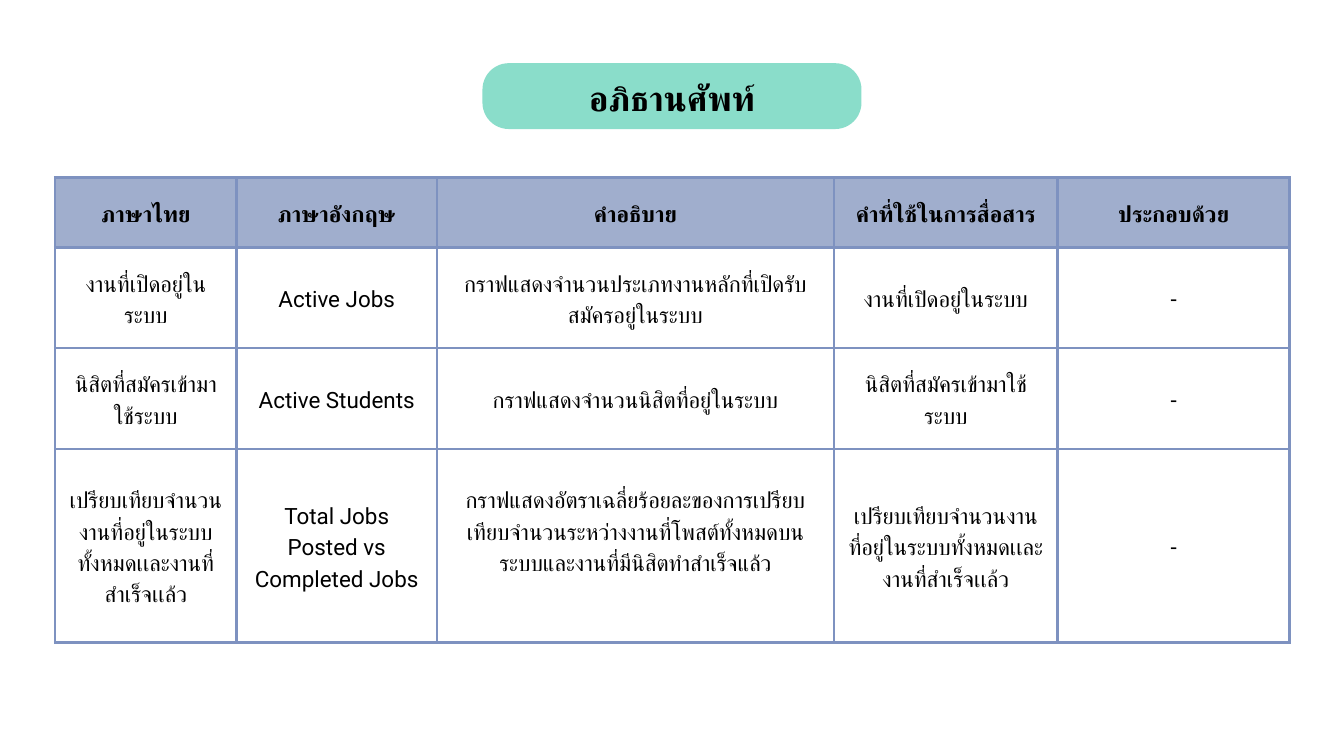
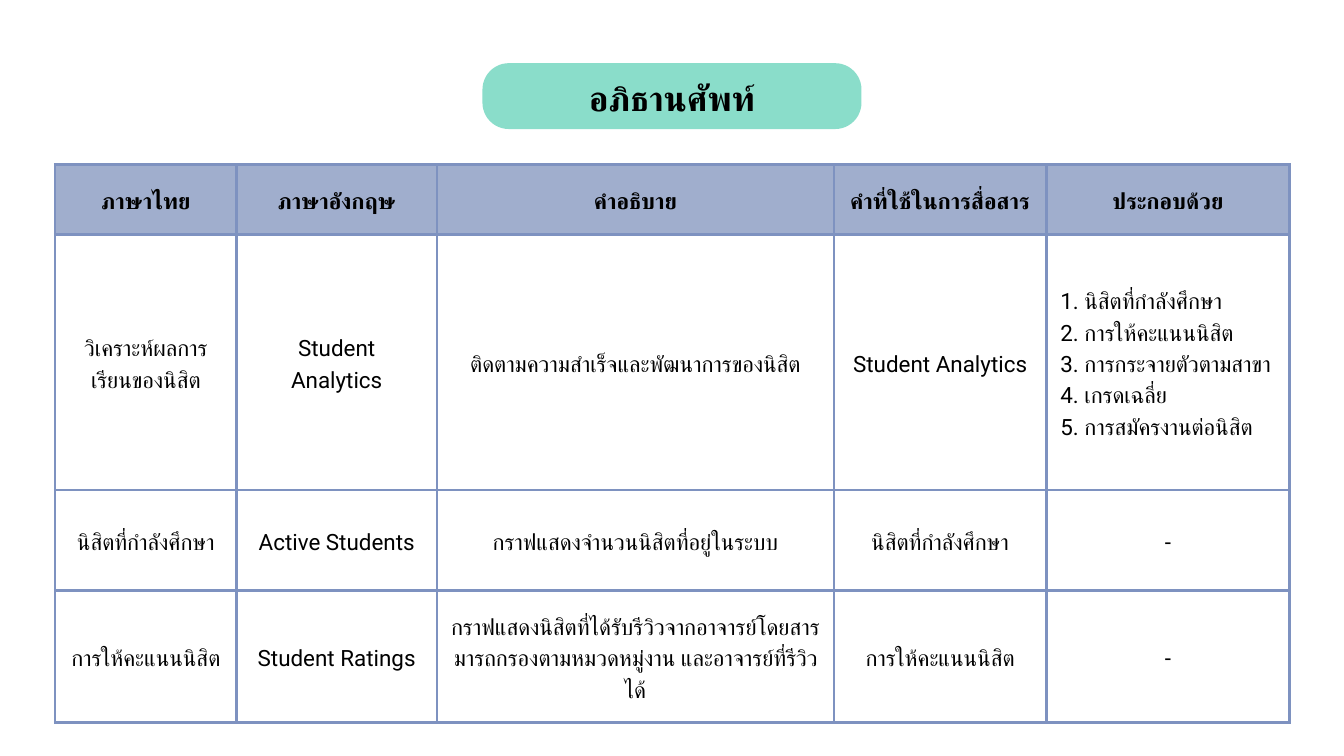
from dataclasses import dataclass

from lxml import etree
from pptx import Presentation
from pptx.dml.color import RGBColor
from pptx.enum.shapes import MSO_SHAPE
from pptx.enum.text import MSO_ANCHOR, MSO_AUTO_SIZE, PP_ALIGN
from pptx.oxml.ns import qn
from pptx.presentation import Presentation as Deck
from pptx.slide import Slide
from pptx.table import _Cell
from pptx.text.text import TextFrame
from pptx.util import Inches, Pt

ROUNDED = MSO_SHAPE.ROUNDED_RECTANGLE
MIDDLE, TOP = MSO_ANCHOR.MIDDLE, MSO_ANCHOR.TOP
CENTER, LEFT = PP_ALIGN.CENTER, PP_ALIGN.LEFT
FIXED_SIZE = MSO_AUTO_SIZE.NONE
TITLE_ONLY = 5


@dataclass(frozen=True)
class Theme:
    font: str = "Roboto"
    ink: str = "000000"
    paper: str = "FFFFFF"
    title_band: str = "8ADDCA"
    header_fill: str = "A0AECD"
    grid: str = "7E92C0"
    grid_width: float = 3
    title_size: float = 37
    title_leading: float = 51.7
    body_size: float = 24
    body_leading: float = 33.6
    cell_margin: float = 0.21


@dataclass(frozen=True)
class Entry:
    """One glossary row; lift is extra space under its explanation, in inches."""
    height: float
    thai: str
    english: str
    explanation: str
    usage: str
    contents: str = "-"
    lift: float = 0

    def texts(self) -> tuple[str, ...]:
        return self.thai, self.english, self.explanation, self.usage, self.contents


@dataclass(frozen=True)
class Glossary:
    top: float
    usage_width: float
    contents_width: float
    entries: tuple[Entry, ...]


THEME = Theme()
TITLE = "อภิธานศัพท์"
TABLE_LEFT = 0.82
FIRST_WIDTHS = (2.7, 2.98, 5.91)
EXPLANATION_COLUMN = 2
HEADER = Entry(1.04, "ภาษาไทย", "ภาษาอังกฤษ", "คำอธิบาย",
               "คำที่ใช้ในการสื่อสาร", "ประกอบด้วย")
COMPARISON = "เปรียบเทียบจำนวนงานที่อยู่ในระบบทั้งหมดเเละงานที่สำเร็จเเล้ว"
STUDENT_COUNT = "กราฟแสดงจำนวนนิสิตที่อยู่ในระบบ"

GLOSSARIES = (
    Glossary(2.64, 3.33, 3.45, (
        Entry(1.5, "งานที่เปิดอยู่ในระบบ", "Active Jobs",
              "กราฟแสดงจำนวนประเภทงานหลักที่เปิดรับสมัครอยู่ในระบบ",
              "งานที่เปิดอยู่ในระบบ"),
        Entry(1.5, "นิสิตที่สมัครเข้ามาใช้ระบบ", "Active Students",
              STUDENT_COUNT, "นิสิตที่สมัครเข้ามาใช้ระบบ"),
        Entry(2.88, COMPARISON, "Total Jobs Posted vs Completed Jobs",
              "กราฟแสดงอัตราเฉลี่ยร้อยละของการเปรียบเทียบจำนวนระหว่าง"
              "งานที่โพสต์ทั้งหมดบนระบบและงานที่มีนิสิตทำสำเร็จแล้ว",
              COMPARISON, lift=0.47),
    )),
    Glossary(2.45, 3.16, 3.62, (
        Entry(3.8, "วิเคราะห์ผลการเรียนของนิสิต", "Student Analytics",
              "ติดตามความสำเร็จและพัฒนาการของนิสิต", "Student Analytics",
              "1. นิสิตที่กำลังศึกษา\n2. การให้คะแนนนิสิต\n"
              "3. การกระจายตัวตามสาขา\n4. เกรดเฉลี่ย\n5. การสมัครงานต่อนิสิต"),
        Entry(1.5, "นิสิตที่กำลังศึกษา", "Active Students",
              STUDENT_COUNT, "นิสิตที่กำลังศึกษา"),
        Entry(1.96, "การให้คะแนนนิสิต", "Student Ratings",
              "กราฟแสดงนิสิตที่ได้รับรีวิวจากอาจารย์โดยสารมารถกรอง"
              "ตามหมวดหมู่งาน และอาจารย์ที่รีวิวได้",
              "การให้คะแนนนิสิต"),
    )),
)


def rgb(value: str) -> RGBColor:
    return RGBColor.from_string(value)


def write(frame: TextFrame, text: str, *, size: float, leading: float,
          bold: bool = False, align: PP_ALIGN = CENTER) -> None:
    frame.text = text
    for paragraph in frame.paragraphs:
        paragraph.alignment = align
        paragraph.line_spacing = Pt(leading)
        paragraph.space_before = paragraph.space_after = Pt(0)
        for run in paragraph.runs:
            run.font.name = THEME.font
            run.font.size = Pt(size)
            run.font.bold = bold
            run.font.color.rgb = rgb(THEME.ink)
            # Thai letters take the complex-script font.
            etree.SubElement(run.font._element, qn("a:cs"), typeface=THEME.font)


def outline_cell(cell: _Cell) -> None:
    properties = cell._tc.get_or_add_tcPr()
    for side in ("a:lnL", "a:lnR", "a:lnT", "a:lnB"):
        line = etree.SubElement(properties, qn(side), w=str(Pt(THEME.grid_width)))
        fill = etree.SubElement(line, qn("a:solidFill"))
        etree.SubElement(fill, qn("a:srgbClr"), val=THEME.grid)


def fill_cell(cell: _Cell, text: str, is_header: bool, lift: float) -> None:
    outline_cell(cell)
    if is_header:
        cell.fill.solid()
        cell.fill.fore_color.rgb = rgb(THEME.header_fill)
    else:
        cell.fill.background()
    margin = Inches(THEME.cell_margin)
    cell.margin_left = cell.margin_right = cell.margin_top = margin
    cell.margin_bottom = margin + Inches(lift)
    cell.vertical_anchor = MIDDLE
    write(cell.text_frame, text, size=THEME.body_size, leading=THEME.body_leading,
          bold=is_header, align=LEFT if "\n" in text else CENTER)


def add_title(slide: Slide) -> None:
    band = slide.shapes.add_shape(
        ROUNDED, Inches(7.18), Inches(0.94), Inches(5.64), Inches(0.98))
    band.adjustments[0] = 0.4
    band.shadow.inherit = False
    band.fill.solid()
    band.fill.fore_color.rgb = rgb(THEME.title_band)
    band.line.fill.background()

    title = slide.shapes.title
    title.left, title.top = Inches(8.5), Inches(1.05)
    title.width, title.height = Inches(3), Inches(0.69)
    frame = title.text_frame
    frame.margin_left = frame.margin_right = 0
    frame.margin_top = frame.margin_bottom = 0
    frame.vertical_anchor = TOP
    frame.word_wrap = True
    frame.auto_size = FIXED_SIZE
    write(frame, TITLE, size=THEME.title_size, leading=THEME.title_leading, bold=True)
    band._element.addnext(title._element)  # keeps the title above its band


def add_glossary(slide: Slide, glossary: Glossary) -> None:
    widths = (*FIRST_WIDTHS, glossary.usage_width, glossary.contents_width)
    entries = (HEADER, *glossary.entries)
    table = slide.shapes.add_table(
        len(entries), len(widths), Inches(TABLE_LEFT), Inches(glossary.top),
        Inches(sum(widths)), Inches(sum(entry.height for entry in entries))).table
    table.first_row = table.horz_banding = False
    for column, width in zip(table.columns, widths):
        column.width = Inches(width)
    for row_index, entry in enumerate(entries):
        table.rows[row_index].height = Inches(entry.height)
        for column_index, text in enumerate(entry.texts()):
            lift = entry.lift if column_index == EXPLANATION_COLUMN else 0
            fill_cell(table.cell(row_index, column_index), text,
                      is_header=entry is HEADER, lift=lift)


def add_glossary_slide(deck: Deck, glossary: Glossary) -> None:
    slide = deck.slides.add_slide(deck.slide_layouts[TITLE_ONLY])
    slide.background.fill.solid()
    slide.background.fill.fore_color.rgb = rgb(THEME.paper)
    add_title(slide)
    add_glossary(slide, glossary)


def main() -> None:
    deck = Presentation()
    deck.slide_width, deck.slide_height = Inches(20), Inches(11.25)
    for glossary in GLOSSARIES:
        add_glossary_slide(deck, glossary)
    deck.save("out.pptx")


if __name__ == "__main__":
    main()
